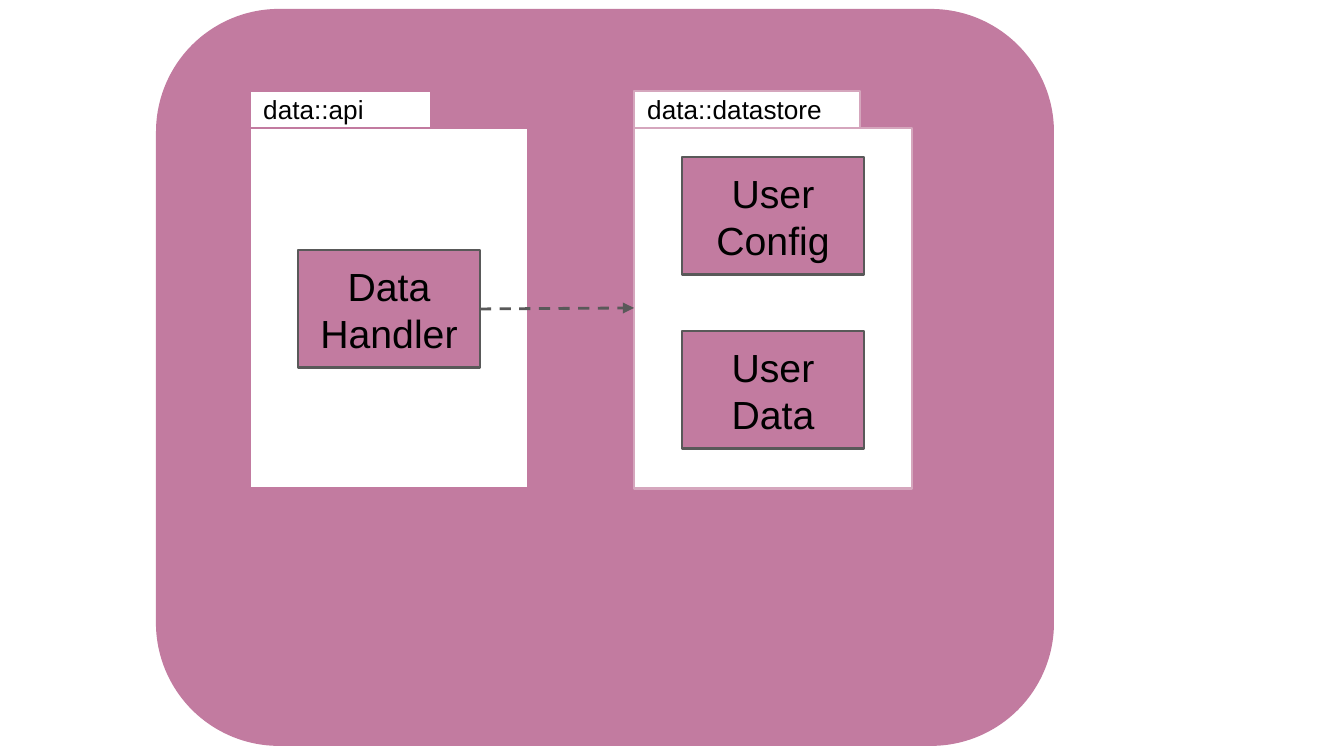
import pptx
import pptx.util
import pptx.dml.color
import pptx.enum.dml
import pptx.enum.shapes
import pptx.enum.text
import pptx.oxml.ns
import lxml.etree

SCALE = 914400 / 134.4
COLORS = {
    "mauve": "C27BA0",
    "pink": "D5A6BD",
    "gray": "595959",
    "white": "FFFFFF",
    "black": "000000",
}
SHAPES = pptx.enum.shapes.MSO_SHAPE
ALIGN = pptx.enum.text.PP_ALIGN


def px(*lengths):
    return [pptx.util.Emu(round(length * SCALE)) for length in lengths]


def add_box(box, fill, line=None, lines=(), size=14, align=ALIGN.LEFT, kind=SHAPES.RECTANGLE):
    shape = slide.shapes.add_shape(kind, *px(*box))
    shape.shadow.inherit = False
    shape.fill.solid()
    shape.fill.fore_color.rgb = pptx.dml.color.RGBColor.from_string(COLORS[fill])
    if line:
        shape.line.color.rgb = pptx.dml.color.RGBColor.from_string(COLORS[line])
        shape.line.width = pptx.util.Pt(1.5)
    else:
        shape.line.fill.background()
    if lines:
        frame = shape.text_frame
        frame.text = "\n".join(lines)
        frame.word_wrap = True
        frame.vertical_anchor = pptx.enum.text.MSO_ANCHOR.MIDDLE
        frame.margin_left = frame.margin_right = pptx.util.Inches(0.1)
        frame.margin_top = frame.margin_bottom = pptx.util.Inches(0.1)
        for paragraph in frame.paragraphs:
            paragraph.alignment = align
            font = paragraph.runs[0].font
            font.name = "Arial"
            font.size = pptx.util.Pt(size)
            font.color.rgb = pptx.dml.color.RGBColor.from_string(COLORS["black"])
    return shape


presentation = pptx.Presentation()
presentation.slide_width, presentation.slide_height = px(1344, 756)
slide = presentation.slides.add_slide(presentation.slide_layouts[6])

container = add_box((156, 9, 898, 737), "mauve", kind=SHAPES.ROUNDED_RECTANGLE)
container.adjustments[0] = 0.167

packages = [
    (250, 181, "data::api", "mauve", [(250, ("Data", "Handler"))]),
    (634, 226, "data::datastore", "pink", [(157, ("User", "Config")), (331, ("User", "Data"))]),
]
for left, tab_width, name, outline, components in packages:
    add_box((left, 128, 278, 361), "white", outline)
    add_box((left, 91, tab_width, 37), "white", outline, [name])
    for top, lines in components:
        add_box((left + 48, top, 182, 118), "mauve", "gray", lines, 21, ALIGN.CENTER)

arrow = slide.shapes.add_connector(
    pptx.enum.shapes.MSO_CONNECTOR.STRAIGHT, *px(480, 309, 634, 308)
)
arrow.line.color.rgb = pptx.dml.color.RGBColor.from_string(COLORS["gray"])
arrow.line.width = pptx.util.Pt(1.5)
arrow.line.dash_style = pptx.enum.dml.MSO_LINE.DASH
tail = lxml.etree.SubElement(arrow.line._get_or_add_ln(), pptx.oxml.ns.qn("a:tailEnd"))
tail.set("type", "triangle")
tail.set("w", "med")
tail.set("len", "med")
lxml.etree.SubElement(arrow._element.spPr, pptx.oxml.ns.qn("a:effectLst"))

presentation.save("out.pptx")
